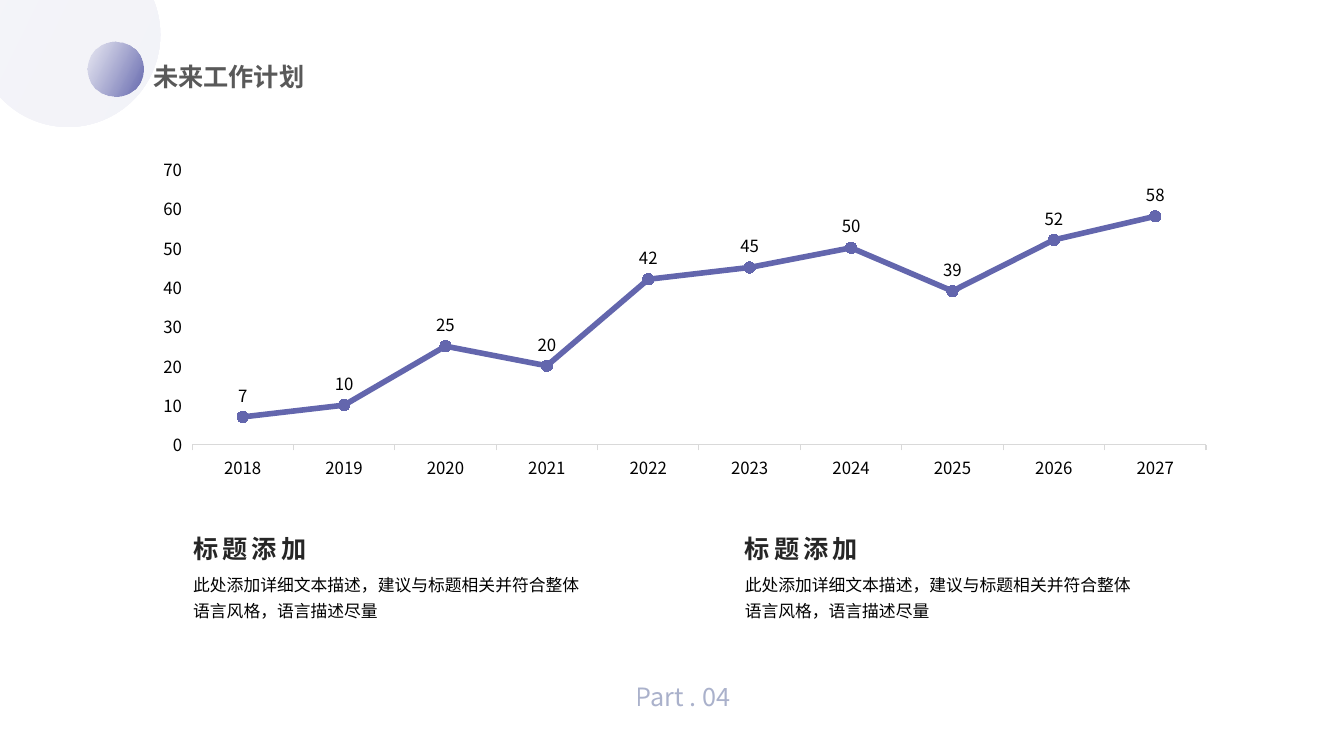
from dataclasses import dataclass

from lxml.etree import SubElement
from pptx import Presentation
from pptx.chart.data import CategoryChartData
from pptx.dml.color import RGBColor as RGB
from pptx.enum.chart import XL_CHART_TYPE as CT, XL_LABEL_POSITION as LP
from pptx.enum.chart import XL_MARKER_STYLE as MS, XL_TICK_MARK as TM
from pptx.enum.shapes import MSO_SHAPE
from pptx.enum.text import MSO_ANCHOR as VA, MSO_AUTO_SIZE as AUTO, PP_ALIGN as AL
from pptx.oxml.ns import qn
from pptx.util import Cm, Pt


@dataclass(frozen=True)
class Theme:
    """Colours, type sizes and font of the deck."""
    font: str = "Noto Sans CJK SC"
    heading: Pt = Pt(18)
    body: Pt = Pt(12)
    accent: RGB = RGB(0x63, 0x66, 0xAD)
    tint: RGB = RGB(0x75, 0x78, 0xB7)
    title: RGB = RGB(0x59, 0x59, 0x59)
    subtitle: RGB = RGB(0x26, 0x26, 0x26)
    text: RGB = RGB(0, 0, 0)
    footer: RGB = RGB(0x65, 0x72, 0xA1)
    axis: RGB = RGB(0xD9, 0xD9, 0xD9)


def apply(obj, values):
    """Set every attribute named in the dict."""
    for name, value in values.items():
        setattr(obj, name, value)


def set_alpha(clr, percent):
    """Make a colour element partly transparent."""
    SubElement(clr, qn("a:alpha")).set("val", str(percent * 1000))


class SlideBuilder:
    """Draws themed elements on the current slide."""

    def __init__(self, s, theme):
        """Keep the slide and its style."""
        self.s, self.theme = s, theme

    def style_font(self, font, size, color, bold=False):
        """Apply the theme font with a size and colour."""
        apply(font, {"name": self.theme.font, "size": size, "bold": bold})
        font.color.rgb = color
        SubElement(font._element, qn("a:ea")).set("typeface", self.theme.font)

    def circle(self, x, y, d, alphas):
        """Add a gradient circle with one opacity per stop."""
        sp = self.s.shapes.add_shape(MSO_SHAPE.OVAL, Cm(x), Cm(y), Cm(d), Cm(d))
        sp.shadow.inherit = False
        sp.line.fill.background()
        sp.fill.gradient()
        sp.fill.gradient_angle = 334
        for stop, color in zip(sp.fill.gradient_stops, (self.theme.tint, self.theme.accent)):
            stop.color.rgb = color
        for clr, alpha in zip(sp._element.spPr.iter(qn("a:srgbClr")), alphas):
            set_alpha(clr, alpha)

    def text(self, box, words, size, color, bold=False, align=None, spacing=None,
             tracking=0, alpha=100, parent=None, frame=None):
        """Add a one-paragraph text box."""
        sp = (parent or self.s).shapes.add_textbox(*map(Cm, box))
        tf = sp.text_frame
        apply(tf, {"word_wrap": True, "auto_size": AUTO.SHAPE_TO_FIT_TEXT, **(frame or {})})
        p = tf.paragraphs[0]
        apply(p, {"alignment": align, "line_spacing": spacing})
        r = p.add_run()
        r.text = words
        self.style_font(r.font, size, color, bold)
        if tracking:
            r.font._element.set("spc", str(tracking * 100))
        if alpha < 100:
            set_alpha(next(r.font._element.iter(qn("a:srgbClr"))), alpha)

    def note(self, x, y, heading, body):
        """Add a grouped heading with a description below it."""
        t = self.theme
        group = self.s.shapes.add_group_shape()
        self.text((x, y + 0.89, 10.39, 1.53), body, t.body, t.text,
                  spacing=1.3, parent=group)
        self.text((x, y, 4.14, 1.03), heading, t.heading, t.subtitle, bold=True,
                  tracking=3, parent=group)

    def line_chart(self, box, years, values, plot):
        """Add a line chart with markers and value labels."""
        t = self.theme
        data = CategoryChartData()
        data.categories = years
        data.add_series("Series 1", values)
        chart = self.s.shapes.add_chart(CT.LINE_MARKERS, *map(Cm, box), data).chart
        apply(chart, {"has_legend": False, "has_title": False})
        self.style_font(chart.font, t.body, t.text)
        chart.plots[0].vary_by_categories = False
        for axis in (chart.category_axis, chart.value_axis):
            apply(axis, {"has_major_gridlines": False, "major_tick_mark": TM.OUTSIDE})
            self.style_font(axis.tick_labels.font, t.body, t.text)
        apply(chart.value_axis, {"minimum_scale": 0, "maximum_scale": 70, "major_unit": 10})
        chart.value_axis.format.line.fill.background()
        line = chart.category_axis.format.line
        line.color.rgb, line.width = t.axis, Pt(0.75)

        series = chart.plots[0].series[0]
        series.smooth = False
        line = series.format.line
        line.color.rgb, line.width = t.accent, Pt(4)
        apply(series.marker, {"style": MS.CIRCLE, "size": 8})
        series.marker.format.fill.solid()
        series.marker.format.fill.fore_color.rgb = t.accent
        series.marker.format.line.fill.background()
        labels = series.data_labels
        apply(labels, {"show_value": True, "position": LP.ABOVE})
        self.style_font(labels.font, t.body, t.text)
        self.place_plot(chart, plot)

    def place_plot(self, chart, plot):
        """Fix the inner plot area as fractions of the chart."""
        area = chart._chartSpace.chart.plotArea
        for old in area.findall(qn("c:layout")):
            area.remove(old)
        layout = SubElement(area, qn("c:layout"))
        area.insert(0, layout)
        manual = SubElement(layout, qn("c:manualLayout"))
        settings = {"layoutTarget": "inner", "xMode": "edge", "yMode": "edge",
                    **dict(zip("xywh", plot))}
        for tag, value in settings.items():
            SubElement(manual, qn(f"c:{tag}")).set("val", str(value))


def main():
    """Build and save the slide."""
    prs = Presentation()
    apply(prs, {"slide_width": Cm(33.87), "slide_height": Cm(19.05)})
    t = Theme()
    b = SlideBuilder(prs.slides.add_slide(prs.slide_layouts[6]), t)
    b.circle(-0.61, -1.45, 4.65, (8, 8))
    b.circle(2.21, 1.04, 1.4, (8, 100))
    b.text((3.61, 1.42, 6.99, 1.03), "未来工作计划", t.heading, t.title,
           bold=True, align=AL.JUSTIFY)
    b.text((15.77, 16.89, 3.76, 1.3), "Part . 04", t.heading, t.footer,
           align=AL.JUSTIFY, alpha=54,
           frame={"auto_size": AUTO.NONE, "vertical_anchor": VA.MIDDLE})
    b.line_chart((4.04, 3.86, 26.62, 10.06), [str(y) for y in range(2018, 2028)],
                 (7, 10, 25, 20, 42, 45, 50, 39, 52, 58), (0.03, 0.04, 0.96, 0.69))
    for x in (4.62, 18.52):
        b.note(x, 13.31, "标题添加",
               "此处添加详细文本描述，建议与标题相关并符合整体语言风格，语言描述尽量")
    prs.save("out.pptx")


if __name__ == "__main__":
    main()
